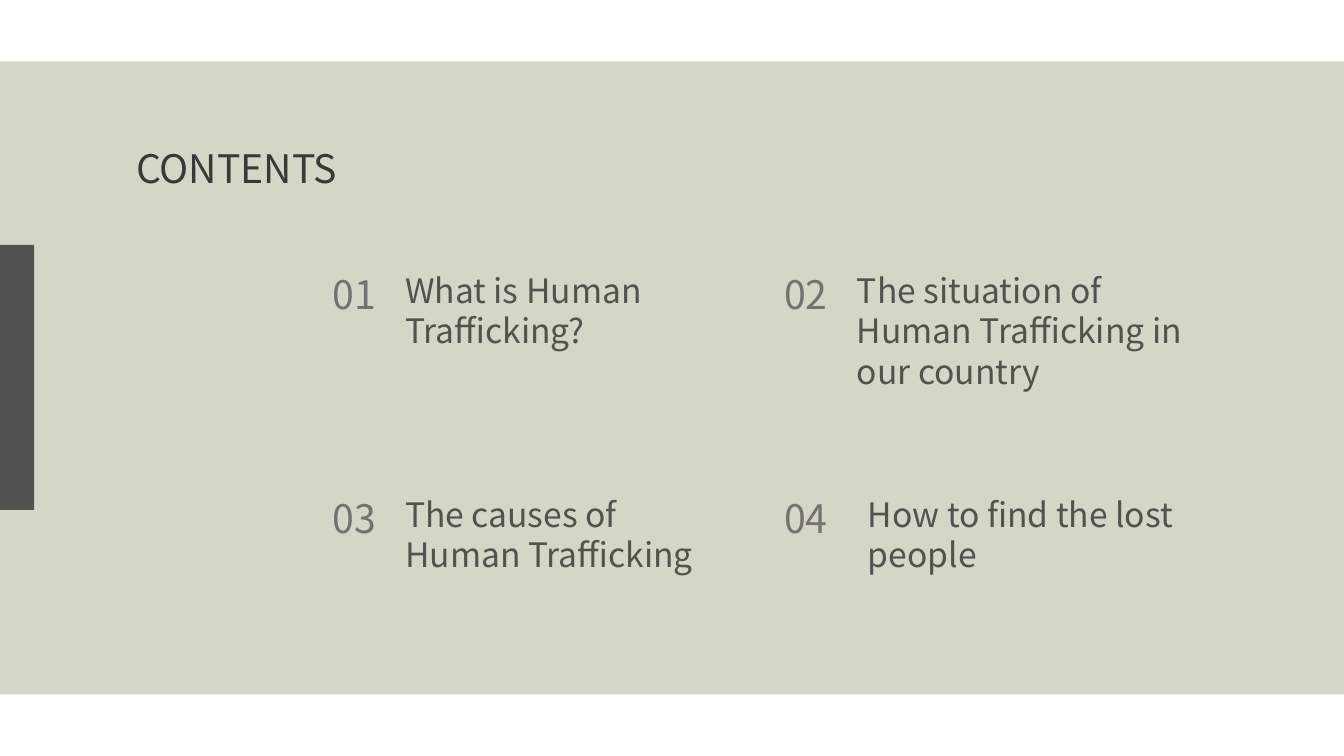
"""Build the contents slide: a pale band, a side tab, a title and four numbered topics."""
from pptx import Presentation
from pptx.dml.color import RGBColor
from pptx.enum.shapes import MSO_SHAPE
from pptx.enum.text import MSO_ANCHOR, MSO_AUTO_SIZE, PP_ALIGN
from pptx.util import Inches, Pt

RECT = MSO_SHAPE.RECTANGLE
TOP = MSO_ANCHOR.TOP
NONE = MSO_AUTO_SIZE.NONE
LEFT, JUST = PP_ALIGN.LEFT, PP_ALIGN.JUSTIFY

THEME = {
    "font": "Noto Sans CJK SC",
    "band": "D4D6C8", "tab": "52524E",
    "title": ("3B3838", 28), "num": ("767171", 28), "topic": ("52524E", 24),
}
WIDE, HIGH = 13.33, 7.5
COLS, ROWS = (3.2, 7.68), (2.63, 4.85)
NUM_W, LINE_H = 0.72, 0.57


def place(shape, left, top, width, height):
    spots = {"left": left, "top": top, "width": width, "height": height}
    for name, size in spots.items():
        setattr(shape, name, Inches(size))


def write(shape, text, role, align=LEFT):
    frame = shape.text_frame
    frame.text = text
    color, size = THEME[role]
    para = frame.paragraphs[0]
    font = para.runs[0].font
    font.color.rgb = RGBColor.from_string(color)
    looks = (
        (frame, {"word_wrap": True, "auto_size": NONE, "vertical_anchor": TOP}),
        (para, {"alignment": align, "line_spacing": 1.0}),
        (font, {"name": THEME["font"], "size": Pt(size), "bold": False}),
    )
    for part, values in looks:
        for name, value in values.items():
            setattr(part, name, value)


deck = Presentation()
deck.slide_width, deck.slide_height = Inches(WIDE), Inches(HIGH)
slide = deck.slides.add_slide(deck.slide_layouts.get_by_name("Title Only"))
shapes = slide.shapes

blocks = (("band", 0.61, WIDE, 6.28), ("tab", 2.43, 0.34, 2.63))
for role, top, width, height in blocks:
    block = shapes.add_shape(RECT, 0, Inches(top), Inches(width), Inches(height))
    block.shadow.inherit = False
    block.fill.solid()
    block.fill.fore_color.rgb = RGBColor.from_string(THEME[role])
    block.line.fill.background()

title = shapes.title
place(title, 1.25, 1.38, 2.57, LINE_H)
write(title, "CONTENTS", "title", JUST)
title.element.getparent().append(title.element)

topics = (
    ("What is Human Trafficking?", 0, 3.3, 0.91),
    ("The situation of Human Trafficking in our country", 0, 3.68, 1.31),
    ("The causes of Human Trafficking", 0, 3.4, 0.91),
    ("How to find the lost people", 0.11, 3.57, 0.91),
)
for i, (text, shift, width, height) in enumerate(topics):
    left, top = COLS[i % 2], ROWS[i // 2]
    cells = (
        (f"{i + 1:02}", "num", left, NUM_W, LINE_H),
        (text, "topic", left + NUM_W + shift, width, height),
    )
    for words, role, x, w, h in cells:
        box = shapes.add_textbox(0, 0, 0, 0)
        place(box, x, top, w, h)
        write(box, words, role)

deck.save("out.pptx")
